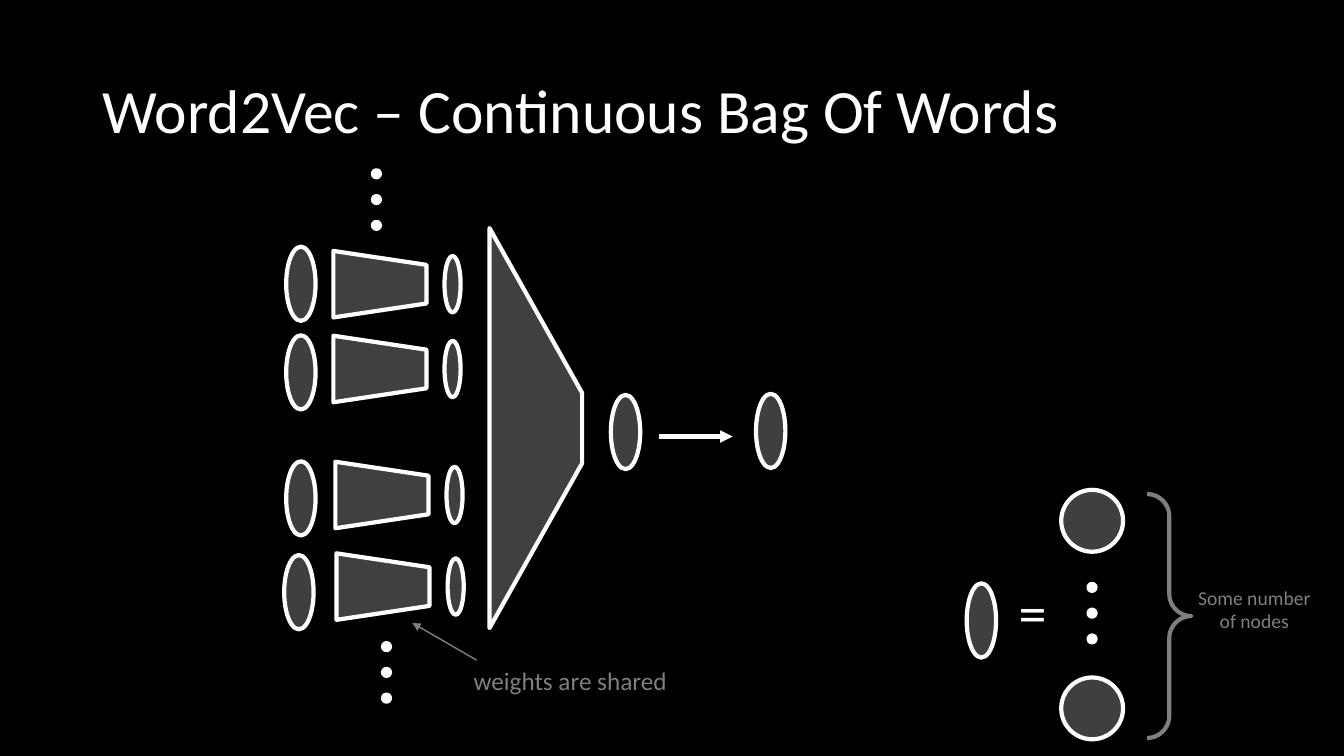
"""Build the slide on the Word2Vec continuous bag of words network."""
from typing import NamedTuple

from lxml.etree import SubElement
from pptx import Presentation
from pptx.dml.color import RGBColor
from pptx.enum.shapes import MSO_CONNECTOR, MSO_SHAPE
from pptx.enum.text import MSO_ANCHOR, MSO_AUTO_SIZE, PP_ALIGN
from pptx.oxml.ns import qn
from pptx.shapes.autoshape import Shape
from pptx.shapes.shapetree import GroupShapes, SlideShapes
from pptx.slide import Slide
from pptx.text.text import TextFrame
from pptx.util import Pt

WHITE, GREY, DARK, BLACK = "FFFFFF", "7F7F7F", "404040", "000000"
STROKE = 3
FONT = "Calibri"
LAYER_SIZE = (21, 53)
HIDDEN_SIZE = (11.5, 40.3)
NODE_SIZE = (44.2, 44.2)
DOT_SIZE = (5, 5)
DOT_STEP = 18.4
HIDDEN_OFFSET = 51.9


class WordRow(NamedTuple):
    input_x: float
    input_y: float
    weights_x: float
    weights_y: float


class Label(NamedTuple):
    text: str
    left: float
    top: float
    width: float
    height: float
    size: float
    color: str
    align: PP_ALIGN


class Arrow(NamedTuple):
    start: tuple[float, float]
    end: tuple[float, float]
    color: str
    width: float


WORD_ROWS = [
    WordRow(214.9, 202.7, 271.4, 203),
    WordRow(214.9, 266, 271.4, 263.6),
    WordRow(214.9, 356, 272.8, 353.6),
    WordRow(213.5, 423, 273.6, 419),
]
LAYERS = [(446.8, 308.6), (550.5, 307.8), (701, 443.2)]
NODES = [(780.1, 372), (780.1, 506)]
DOT_TOPS = [(268.9, 124.2), (780.1, 419.6), (276.1, 461.9)]
LABELS = [
    Label("weights are shared", 331.2, 471.6, 193.7, 29, 18, GREY, PP_ALIGN.LEFT),
    Label("=", 717.8, 409, 39.6, 55.4, 40, WHITE, PP_ALIGN.CENTER),
    Label("Some number of nodes", 846, 414.7, 100, 41, 14, GREY, PP_ALIGN.CENTER),
]
ARROWS = [
    Arrow((340.6, 471.6), (294.5, 445), GREY, 1),
    Arrow((470.9, 311.8), (523.4, 311.8), WHITE, STROKE),
]


def rgb(color: str) -> RGBColor:
    return RGBColor.from_string(color)


def add_centred(
    shapes: SlideShapes | GroupShapes,
    kind: MSO_SHAPE,
    centre: tuple[float, float],
    size: tuple[float, float],
    outline: str = WHITE,
) -> Shape:
    (x, y), (width, height) = centre, size
    shape = shapes.add_shape(
        kind, Pt(x - width / 2), Pt(y - height / 2), Pt(width), Pt(height)
    )
    shape.shadow.inherit = False
    shape.line.color.rgb = rgb(outline)
    shape.line.width = Pt(STROKE)
    return shape


def fill_solid(shape: Shape, color: str) -> None:
    shape.fill.solid()
    shape.fill.fore_color.rgb = rgb(color)


def add_neuron(
    shapes: SlideShapes, centre: tuple[float, float], size: tuple[float, float]
) -> None:
    neuron = add_centred(shapes, MSO_SHAPE.OVAL, centre, size)
    fill_solid(neuron, GREY)
    tint = neuron.fill._xPr.find(qn("a:solidFill"))[0]
    SubElement(tint, qn("a:alpha"), val="50000")


def add_weights(
    shapes: SlideShapes,
    centre: tuple[float, float],
    size: tuple[float, float],
    slant: float,
) -> None:
    weights = add_centred(shapes, MSO_SHAPE.TRAPEZOID, centre, size)
    weights.rotation = 90
    weights.adjustments[0] = slant
    fill_solid(weights, DARK)


def add_dots(shapes: SlideShapes, top: tuple[float, float]) -> None:
    ellipsis = shapes.add_group_shape()
    x, y = top
    for index in range(3):
        centre = (x, y + index * DOT_STEP)
        dot = add_centred(ellipsis.shapes, MSO_SHAPE.OVAL, centre, DOT_SIZE)
        fill_solid(dot, WHITE)


def add_brace(shapes: SlideShapes) -> None:
    brace = add_centred(
        shapes, MSO_SHAPE.LEFT_BRACE, (835.2, 440), (31.7, 174.2), GREY
    )
    brace.rotation = 180
    brace.adjustments[0] = 0.5
    brace.fill.background()


def add_arrow(shapes: SlideShapes, arrow: Arrow) -> None:
    points = [Pt(value) for value in (*arrow.start, *arrow.end)]
    connector = shapes.add_connector(MSO_CONNECTOR.STRAIGHT, *points)
    connector.line.color.rgb = rgb(arrow.color)
    connector.line.width = Pt(arrow.width)
    SubElement(connector.line._get_or_add_ln(), qn("a:tailEnd"), type="triangle")
    SubElement(connector._element.spPr, qn("a:effectLst"))


def write_text(
    frame: TextFrame, text: str, size: float, color: str, align: PP_ALIGN
) -> None:
    frame.text = text
    frame.word_wrap = True
    paragraph = frame.paragraphs[0]
    paragraph.alignment = align
    font = paragraph.runs[0].font
    font.name = FONT
    font.size = Pt(size)
    font.color.rgb = rgb(color)


def add_label(shapes: SlideShapes, label: Label) -> None:
    box = shapes.add_textbox(
        Pt(label.left), Pt(label.top), Pt(label.width), Pt(label.height)
    )
    write_text(box.text_frame, label.text, label.size, label.color, label.align)
    box.text_frame.auto_size = MSO_AUTO_SIZE.SHAPE_TO_FIT_TEXT


def set_title(slide: Slide) -> None:
    title = slide.shapes.title
    title.left, title.top = Pt(66), Pt(28.8)
    title.width, title.height = Pt(828), Pt(104.4)
    frame = title.text_frame
    write_text(
        frame, "Word2Vec – Continuous Bag Of Words", 44, WHITE, PP_ALIGN.LEFT
    )
    frame.auto_size = MSO_AUTO_SIZE.NONE
    frame.vertical_anchor = MSO_ANCHOR.MIDDLE
    frame.paragraphs[0].line_spacing = 0.9


def main() -> None:
    deck = Presentation()
    deck.slide_width, deck.slide_height = Pt(960), Pt(540)
    slide = deck.slides.add_slide(deck.slide_layouts[5])
    slide.background.fill.solid()
    slide.background.fill.fore_color.rgb = rgb(BLACK)
    set_title(slide)
    shapes = slide.shapes

    for row in WORD_ROWS:
        add_neuron(shapes, (row.input_x, row.input_y), LAYER_SIZE)
        add_weights(shapes, (row.weights_x, row.weights_y), (47.5, 66.5), 0.21)
        hidden = (row.weights_x + HIDDEN_OFFSET, row.weights_y)
        add_neuron(shapes, hidden, HIDDEN_SIZE)
    add_weights(shapes, (382.7, 305.8), (285.8, 66.2), 1.78)
    for centre in LAYERS:
        add_neuron(shapes, centre, LAYER_SIZE)
    for centre in NODES:
        add_neuron(shapes, centre, NODE_SIZE)
    for top in DOT_TOPS:
        add_dots(shapes, top)
    add_brace(shapes)
    for arrow in ARROWS:
        add_arrow(shapes, arrow)
    for label in LABELS:
        add_label(shapes, label)
    deck.save("out.pptx")


if __name__ == "__main__":
    main()
